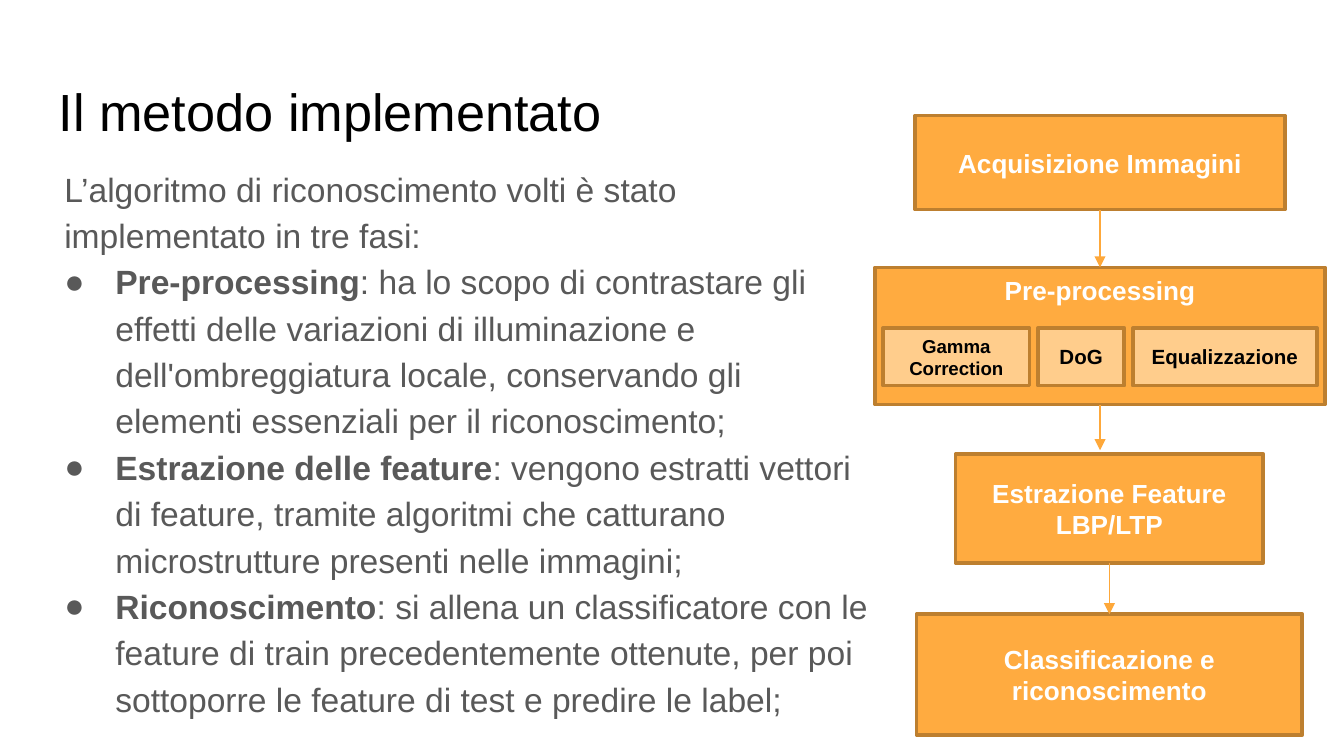
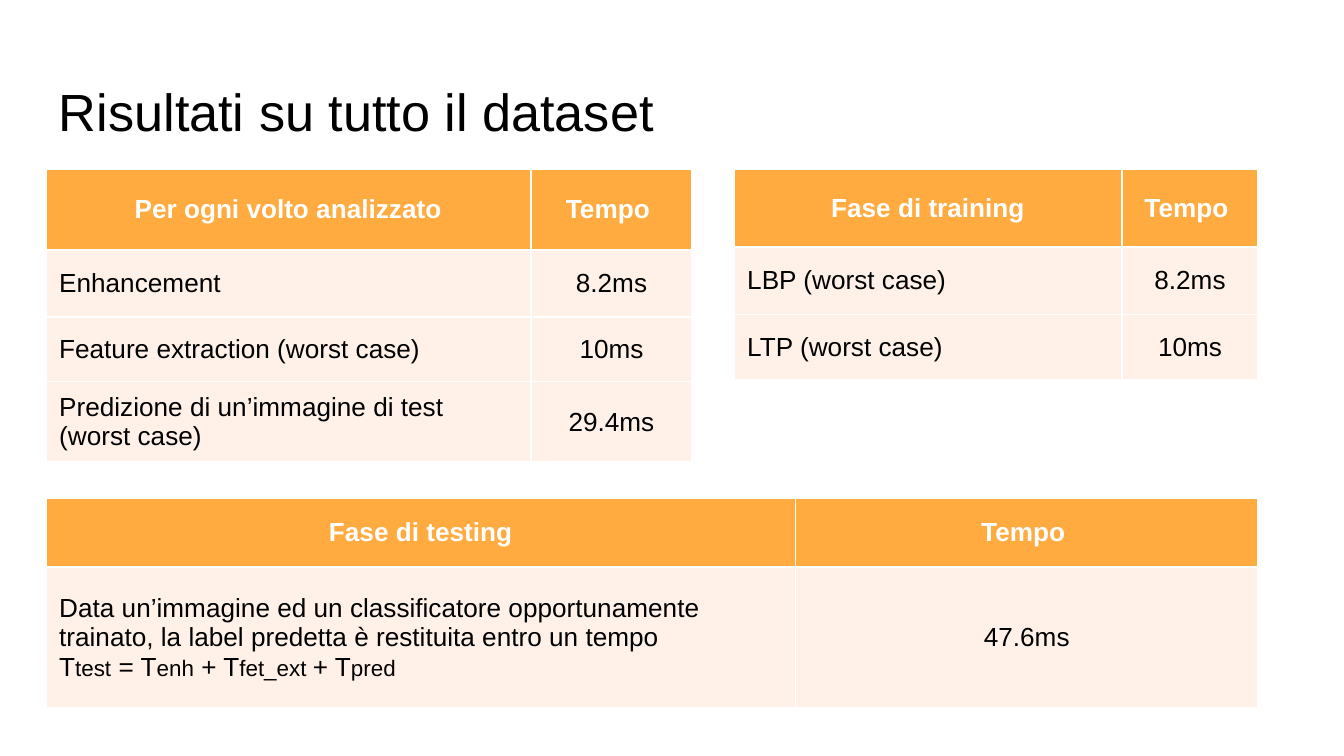
from dataclasses import dataclass

from lxml import etree
from pptx import Presentation
from pptx.dml.color import RGBColor
from pptx.enum import shapes, text
from pptx.oxml import ns
from pptx.util import Inches, Pt

CENTER, LEFT = text.PP_ALIGN.CENTER, text.PP_ALIGN.LEFT
MIDDLE, TOP = text.MSO_ANCHOR.MIDDLE, text.MSO_ANCHOR.TOP
TOP_SIDE, BOTTOM_SIDE = 0, 2


@dataclass(frozen=True)
class Theme:
    font: str = "Arial"
    black: str = "000000"
    white: str = "FFFFFF"
    body_text: str = "595959"
    orange: str = "FFAB40"
    light_orange: str = "FFCD8C"
    outline: str = "BD7F2F"
    arrow: str = "FEA83A"
    cell: str = "FFF1E8"
    title_size: float = 28
    body_size: float = 18
    label_size: float = 14
    subscript_size: float = 12
    step_size: float = 11
    small_step_size: float = 10


THEME = Theme()


def rgb(value):
    return RGBColor.from_string(value)


def style(paragraph, size, color, bold=None, align=LEFT):
    font = paragraph.font
    font.name, font.size, font.bold = THEME.font, Pt(size), bold
    font.color.rgb = rgb(color)
    paragraph.alignment = align


def add_text_box(slide, left, top, width, height):
    box = slide.shapes.add_textbox(*map(Inches, (left, top, width, height)))
    frame = box.text_frame
    frame.word_wrap = True
    frame.margin_left = frame.margin_right = Inches(0.1)
    frame.margin_top = frame.margin_bottom = Inches(0.1)
    return frame


def add_title(slide, title, width):
    paragraph = add_text_box(slide, 0.34, 0.49, width, 0.63).paragraphs[0]
    paragraph.text = title
    style(paragraph, THEME.title_size, THEME.black)


def indent(paragraph, margin, first_line=0.0, bullet=None):
    props = paragraph._p.get_or_add_pPr()
    props.set("marL", str(Inches(margin)))
    props.set("indent", str(Inches(first_line)))
    if bullet:
        color = etree.SubElement(props, ns.qn("a:buClr"))
        etree.SubElement(color, ns.qn("a:srgbClr")).set("val", THEME.body_text)
        etree.SubElement(props, ns.qn("a:buFont")).set("typeface", THEME.font)
        etree.SubElement(props, ns.qn("a:buChar")).set("char", bullet)


def add_phases(slide, intro, phases):
    """Introductory sentence followed by bullets with a bold lead."""
    frame = add_text_box(slide, 0.26, 1.11, 6.31, 4.38)
    opening = frame.paragraphs[0]
    opening.text = intro
    bullets = []
    for phase, description in phases:
        bullet = frame.add_paragraph()
        lead = bullet.add_run()
        lead.text = phase
        lead.font.bold = True
        bullet.add_run().text = description
        bullets.append(bullet)
    for paragraph in frame.paragraphs:
        style(paragraph, THEME.body_size, THEME.body_text)
        paragraph.line_spacing = 1.15
    # Bullet settings must precede the default run properties in the paragraph.
    indent(opening, 0.12)
    for bullet in bullets:
        indent(bullet, 0.5, -0.38, "●")
        props = bullet._p.get_or_add_pPr()
        props.append(props.find(ns.qn("a:defRPr")))


def add_block(slide, label, left, top, width, height, fill=THEME.orange,
              color=THEME.white, size=THEME.label_size, anchor=MIDDLE):
    block = slide.shapes.add_shape(
        shapes.MSO_SHAPE.RECTANGLE, *map(Inches, (left, top, width, height)))
    block.shadow.inherit = False
    block.fill.solid()
    block.fill.fore_color.rgb = rgb(fill)
    block.line.color.rgb = rgb(THEME.outline)
    block.line.width = Pt(2)
    frame = block.text_frame
    frame.text = label
    frame.word_wrap = True
    frame.vertical_anchor = anchor
    for paragraph in frame.paragraphs:
        style(paragraph, size, color, True, CENTER)
    return block


def add_arrow(slide, source, target, gap=0.0):
    """Vertical arrow from source down to target, joined unless a gap is left."""
    x = source.left + source.width // 2
    arrow = slide.shapes.add_connector(
        shapes.MSO_CONNECTOR.STRAIGHT, x, source.top + source.height,
        x, target.top - Inches(gap))
    arrow.begin_connect(source, BOTTOM_SIDE)
    if not gap:
        arrow.end_connect(target, TOP_SIDE)
    arrow.line.color.rgb = rgb(THEME.arrow)
    arrow.line.width = Pt(0.75)
    etree.SubElement(arrow.line._get_or_add_ln(),
                     ns.qn("a:tailEnd")).set("type", "triangle")
    etree.SubElement(arrow._element.spPr, ns.qn("a:effectLst"))


def add_steps(slide, steps, left, right, top, height):
    """Row of light blocks spread evenly between left and right."""
    gap = (right - left - sum(width for _, width, _ in steps)) / (len(steps) - 1)
    for label, width, size in steps:
        add_block(slide, label, left, top, width, height,
                  THEME.light_orange, THEME.black, size)
        left += width + gap


def set_borders(cell):
    props = cell._tc.get_or_add_tcPr()
    for position, side in enumerate(("lnL", "lnR", "lnT", "lnB")):
        line = etree.Element(ns.qn(f"a:{side}"), w=str(Pt(1)))
        fill = etree.SubElement(line, ns.qn("a:solidFill"))
        etree.SubElement(fill, ns.qn("a:srgbClr")).set("val", THEME.white)
        props.insert(position, line)


def add_timing_table(slide, left, top, columns, heights, rows):
    """Table of timings: the first row is the header, the last column centred."""
    table = slide.shapes.add_table(
        len(rows), len(columns),
        *map(Inches, (left, top, sum(columns), sum(heights)))).table
    for column, width in zip(table.columns, columns):
        column.width = Inches(width)
    for row, height in zip(table.rows, heights):
        row.height = Inches(height)
    for r, row in enumerate(rows):
        header = r == 0
        for c, content in enumerate(row):
            cell = table.cell(r, c)
            cell.text = content
            cell.vertical_anchor = MIDDLE
            cell.fill.solid()
            cell.fill.fore_color.rgb = rgb(THEME.orange if header else THEME.cell)
            set_borders(cell)
            style(cell.text_frame.paragraphs[0], THEME.label_size,
                  THEME.white if header else THEME.black, header,
                  CENTER if header or c else LEFT)
    return table


def add_formula(paragraph, terms):
    """New line of alternating symbols and smaller subscripts."""
    paragraph.add_line_break()
    for symbol, subscript in terms:
        paragraph.add_run().text = symbol
        run = paragraph.add_run()
        run.text = subscript
        run.font.size = Pt(THEME.subscript_size)


def build_method(slide):
    add_title(slide, "Il metodo implementato", 4.33)
    add_phases(
        slide,
        "L’algoritmo di riconoscimento volti è stato implementato in tre fasi:",
        [("Pre-processing",
          ": ha lo scopo di contrastare gli effetti delle variazioni di "
          "illuminazione e dell'ombreggiatura locale, conservando gli elementi "
          "essenziali per il riconoscimento;"),
         ("Estrazione delle feature",
          ": vengono estratti vettori di feature, tramite algoritmi che "
          "catturano microstrutture presenti nelle immagini;"),
         ("Riconoscimento",
          ": si allena un classificatore con le feature di train "
          "precedentemente ottenute, per poi sottoporre le feature di test e "
          "predire le label;")])

    acquisition = add_block(slide, "Acquisizione Immagini", 6.81, 0.86, 2.75, 0.7)
    preprocessing = add_block(slide, "Pre-processing", 6.51, 1.99, 3.35, 1.02,
                              anchor=TOP)
    add_steps(slide, [("Gamma\nCorrection", 1.09, THEME.small_step_size),
                      ("DoG", 0.64, THEME.step_size),
                      ("Equalizzazione", 1.37, THEME.step_size)],
              left=6.57, right=9.8, top=2.44, height=0.43)
    extraction = add_block(slide, "Estrazione Feature\nLBP/LTP",
                           7.11, 3.38, 2.29, 0.81)
    classification = add_block(slide, "Classificazione e riconoscimento",
                               6.82, 4.57, 2.87, 0.9)
    add_arrow(slide, acquisition, preprocessing)
    add_arrow(slide, preprocessing, extraction, gap=0.03)
    add_arrow(slide, extraction, classification)


def build_results(slide):
    add_title(slide, "Risultati su tutto il dataset", 9.32)
    add_timing_table(
        slide, 0.34, 1.26, [3.61, 1.2], [0.6, 0.5, 0.48, 0.6],
        [("Per ogni volto analizzato", "Tempo "),
         ("Enhancement", "8.2ms"),
         ("Feature extraction (worst case)", "10ms"),
         ("Predizione di un’immagine di test (worst case)", "29.4ms")])
    add_timing_table(
        slide, 5.46, 1.26, [2.89, 1.01], [0.58, 0.5, 0.49],
        [("Fase di training", "Tempo "),
         ("LBP (worst case)", "8.2ms"),
         ("LTP (worst case)", "10ms")])
    testing = add_timing_table(
        slide, 0.34, 3.71, [5.58, 3.44], [0.51, 1.05],
        [("Fase di testing", "Tempo "),
         ("Data un’immagine ed un classificatore opportunamente trainato, "
          "la label predetta è restituita entro un tempo ", "47.6ms")])
    add_formula(testing.cell(1, 0).text_frame.paragraphs[0],
                [("T", "test"), (" = T", "enh"), (" + T", "fet_ext "),
                 ("+ T", "pred")])


def main():
    deck = Presentation()
    deck.slide_width = Inches(10)
    deck.slide_height = deck.slide_width * 9 // 16
    blank = deck.slide_layouts[6]
    for build in (build_method, build_results):
        build(deck.slides.add_slide(blank))
    deck.save("out.pptx")


if __name__ == "__main__":
    main()
